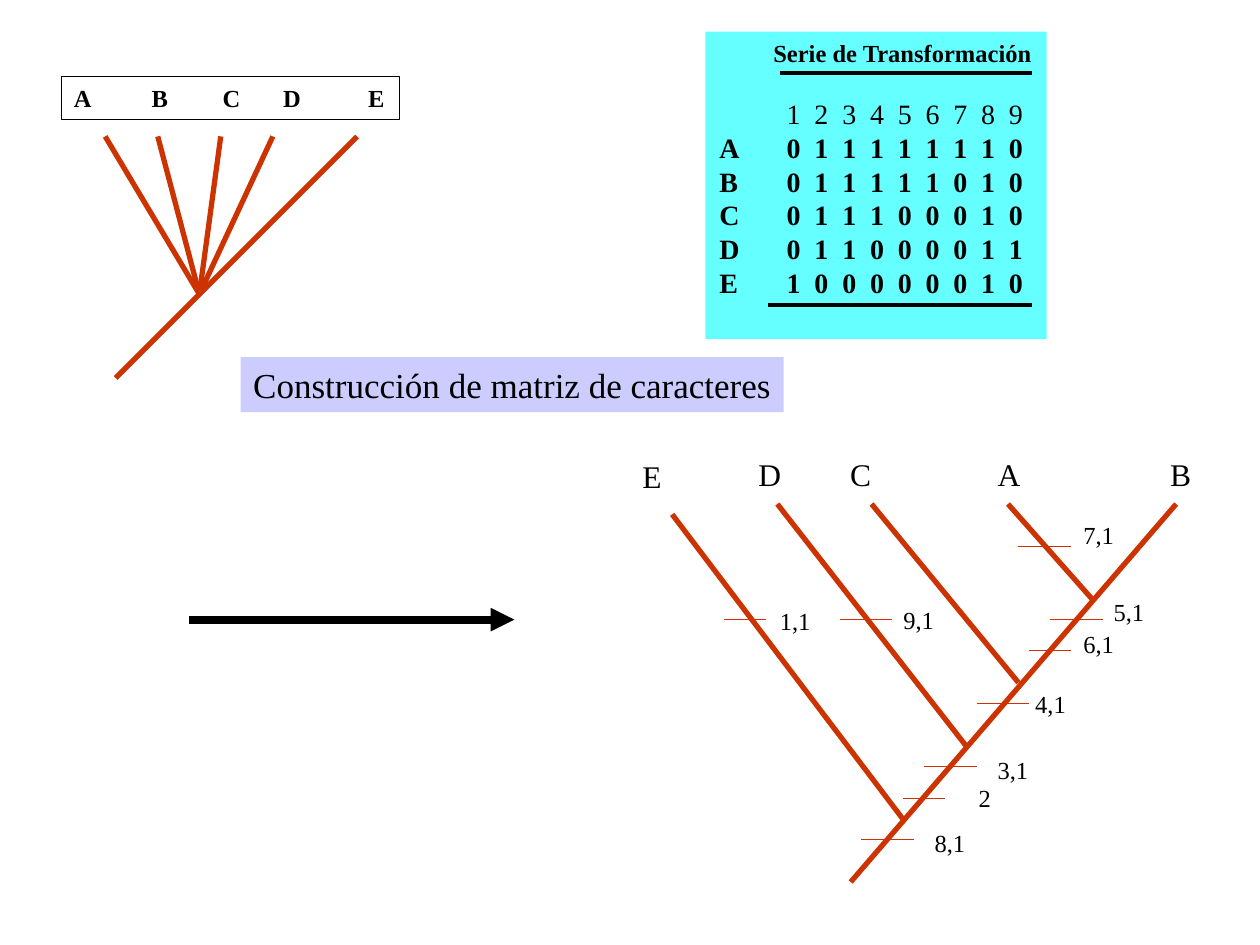
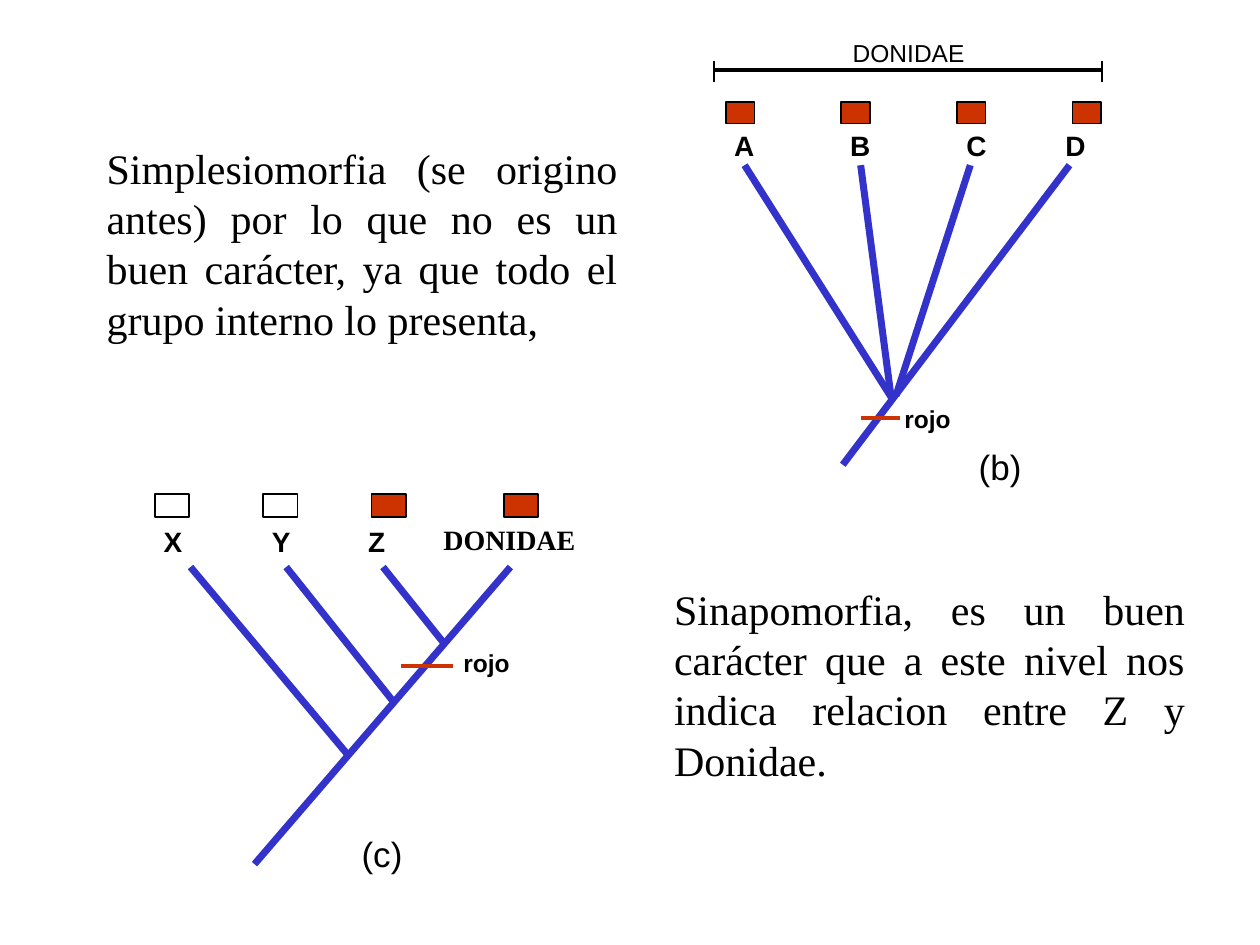
"""Builds two slides on character matrices and cladograms."""
from dataclasses import dataclass
from typing import NamedTuple, Optional

from lxml.etree import SubElement
from pptx import Presentation
from pptx.dml.color import RGBColor
from pptx.enum.shapes import MSO_CONNECTOR, MSO_SHAPE
from pptx.enum.text import MSO_ANCHOR as Anchor, MSO_AUTO_SIZE as AutoSize, PP_ALIGN as Align
from pptx.oxml.ns import qn
from pptx.util import Cm, Pt


@dataclass(frozen=True)
class Theme:
    """Colours, fonts, type sizes and line widths."""
    black: RGBColor = RGBColor(0, 0, 0)
    red: RGBColor = RGBColor(0xCC, 0x33, 0x00)
    blue: RGBColor = RGBColor(0x33, 0x33, 0xCC)
    lilac: RGBColor = RGBColor(0xCC, 0xCC, 0xFF)
    cyan: RGBColor = RGBColor(0x66, 0xFF, 0xFF)
    serif: str = "Times New Roman"
    sans: str = "Arial"
    small: float = 14
    medium: float = 16
    tip: float = 18
    title: float = 20
    body: float = 24
    hairline: float = 0.75
    outline: float = 1
    rule: float = 2.25
    red_branch: float = 3
    blue_branch: float = 4
    arrow: float = 4.5


THEME = Theme()
NO_STYLE_TABLE = "{2D5ABB26-0587-4C30-8999-92F81FD0307C}"


class Box(NamedTuple):
    """Position and size in centimetres."""
    left: float
    top: float
    width: float
    height: float


class Segment(NamedTuple):
    """Straight line from one point to another, in centimetres."""
    x1: float
    y1: float
    x2: float
    y2: float


@dataclass(frozen=True)
class TextStyle:
    """Look of a piece of text."""
    size: float
    font: str = THEME.serif
    bold: bool = False
    align: Align = Align.LEFT


@dataclass(frozen=True)
class Label:
    """Short text with its place."""
    text: str
    box: Box


@dataclass(frozen=True)
class Change:
    """Tick across a branch with the label of the character change."""
    text: str
    left: float
    right: float
    y: float
    label_left: float
    label_top: float


NUMBER = TextStyle(THEME.small)
SERIES_TITLE = TextStyle(THEME.small, bold=True, align=Align.RIGHT)
TAXA_ROW = TextStyle(THEME.small, bold=True)
TIP = TextStyle(THEME.tip)
HEADLINE = TextStyle(THEME.title)
BODY = TextStyle(THEME.body, align=Align.JUSTIFY)
TAXON = TextStyle(THEME.medium, THEME.sans, bold=True)
FAMILY = TextStyle(THEME.medium, bold=True)
FAMILY_CAPTION = TextStyle(THEME.small, THEME.sans)
STATE = TextStyle(THEME.small, THEME.sans, bold=True)
PANEL_LETTER = TextStyle(THEME.title, THEME.sans)

TAXA_TABS = (1.57, 3.0, 4.22, 5.93)
MATRIX = {"": "123456789", "A": "011111110", "B": "011111010",
          "C": "011100010", "D": "011000011", "E": "100000010"}
POLYTOMY = [Segment(2.33, 7.62, 7.2, 2.75)] + [
    Segment(4.02, 5.93, x, 2.75) for x in (2.12, 3.18, 4.45, 5.5)]
RESOLVED_TREE = [
    Segment(17.15, 17.78, 23.71, 10.16), Segment(22.01, 12.07, 20.32, 10.16),
    Segment(20.53, 13.76, 17.57, 10.16), Segment(19.47, 15.03, 15.67, 10.16),
    Segment(18.2, 16.51, 13.55, 10.37)]
RESOLVED_TIPS = [Label(text, Box(left, top, 0.95, 1.02)) for text, left, top in (
    ("E", 12.7, 9.09), ("D", 15.04, 9.04), ("C", 16.89, 9.04),
    ("A", 19.86, 9.04), ("B", 23.34, 9.04))]
CHANGES = [
    Change("1,1", 14.6, 15.45, 12.49, 15.47, 12.09),
    Change("9,1", 16.93, 17.99, 12.49, 17.96, 12.07),
    Change("7,1", 20.53, 21.59, 11.01, 21.59, 10.36),
    Change("5,1", 21.17, 22.23, 12.49, 22.2, 11.91),
    Change("6,1", 20.74, 21.59, 13.12, 21.59, 12.55),
    Change("4,1", 19.69, 20.74, 14.18, 20.62, 13.77),
    Change("3,1", 18.63, 19.69, 15.45, 19.86, 15.09),
    Change("2", 18.2, 19.05, 16.09, 19.48, 15.67),
    Change("8,1", 17.36, 18.42, 16.93, 18.59, 16.56)]

TREE_B = [
    Segment(16.99, 9.37, 21.56, 3.33), Segment(17.98, 8.03, 15.01, 3.33),
    Segment(17.96, 7.98, 17.35, 3.33), Segment(18.06, 7.98, 19.56, 3.33)]
TAXA_B = [Label(text, Box(left, 2.46, 0.91, 0.91)) for text, left in (
    ("A", 14.55), ("B", 16.89), ("C", 19.23), ("D", 21.23))]
STATES_B = [Box(14.63 + 2.33 * index, 2.06, 0.58, 0.43) for index in range(4)]
BRACKET_LEFT, BRACKET_RIGHT = 14.4, 22.22
TREE_C = [
    Segment(5.13, 17.42, 10.29, 11.43), Segment(8.92, 12.93, 7.72, 11.43),
    Segment(7.95, 14.17, 5.77, 11.43), Segment(6.99, 15.19, 3.84, 11.43)]
TAXA_C = [Label(text, Box(left, 10.44, 0.89, 0.91)) for text, left in (
    ("X", 3.05), ("Y", 5.23), ("Z", 7.17))]
STATES_C = [(Box(left, 9.96, 0.69, 0.46), fill) for left, fill in (
    (3.12, None), (5.31, None), (7.49, THEME.red), (10.16, THEME.red))]


def lengths(values: tuple) -> list:
    """Turn centimetre numbers into lengths."""
    return [Cm(value) for value in values]


def format_paragraph(paragraph, style: TextStyle) -> None:
    """Apply a text style to one paragraph."""
    paragraph.alignment = style.align
    paragraph.font.size = Pt(style.size)
    paragraph.font.name = style.font
    paragraph.font.bold = style.bold
    paragraph.font.color.rgb = THEME.black


def write(shape, text: str, style: TextStyle, wrap: bool = False, tabs: tuple = ()) -> None:
    """Write one styled paragraph, top anchored, into a shape."""
    frame = shape.text_frame
    frame.auto_size = AutoSize.NONE
    frame.word_wrap = wrap
    frame.vertical_anchor = Anchor.TOP
    frame.text = text
    paragraph = frame.paragraphs[0]
    if tabs:
        properties = paragraph._p.get_or_add_pPr()
        tab_list = SubElement(properties, qn("a:tabLst"))
        for position in tabs:
            SubElement(tab_list, qn("a:tab"), pos=str(Cm(position)), algn="l")
    format_paragraph(paragraph, style)


def add_label(slide, label: Label, style: TextStyle, wrap: bool = False) -> None:
    """Add a text box."""
    write(slide.shapes.add_textbox(*lengths(label.box)), label.text, style, wrap)


def add_box(slide, box: Box, fill: Optional[RGBColor] = None, outline: Optional[float] = None):
    """Add a rectangle with an optional fill and black outline."""
    shape = slide.shapes.add_shape(MSO_SHAPE.RECTANGLE, *lengths(box))
    shape.shadow.inherit = False
    if fill is None:
        shape.fill.background()
    else:
        shape.fill.solid()
        shape.fill.fore_color.rgb = fill
    if outline is None:
        shape.line.fill.background()
    else:
        shape.line.color.rgb = THEME.black
        shape.line.width = Pt(outline)
    return shape


def add_line(slide, segment: Segment, color: RGBColor, width: float, arrow: bool = False) -> None:
    """Add a straight connector, with an arrowhead at its end if asked."""
    connector = slide.shapes.add_connector(MSO_CONNECTOR.STRAIGHT, *lengths(segment))
    connector.line.color.rgb = color
    connector.line.width = Pt(width)
    properties = connector.element.spPr
    if arrow:
        SubElement(properties.find(qn("a:ln")), qn("a:tailEnd"), type="triangle")
    SubElement(properties, qn("a:effectLst"))


def add_tree(slide, branches: list[Segment], color: RGBColor, width: float) -> None:
    """Draw all branches of a tree."""
    for branch in branches:
        add_line(slide, branch, color, width)


def add_matrix(slide) -> None:
    """Draw the panel with the table of character states."""
    panel = add_box(slide, Box(14.22, 0.64, 6.88, 6.2), THEME.cyan)
    write(panel, "Serie de Transformación", SERIES_TITLE, wrap=True)
    panel.text_frame.margin_right = Cm(0.3)

    row_height, label_width, state_width = 0.68, 1.22, 0.56
    width = label_width + 9 * state_width
    frame = slide.shapes.add_table(len(MATRIX), 10, *lengths(
        (14.5, 1.98, width, row_height * len(MATRIX))))
    table = frame.table
    table.first_row = table.horz_banding = False
    table._tbl.tblPr.find(qn("a:tableStyleId")).text = NO_STYLE_TABLE
    for index, column in enumerate(table.columns):
        column.width = Cm(state_width if index else label_width)
    for row, (taxon, states) in zip(table.rows, MATRIX.items()):
        row.height = Cm(row_height)
        for index, (cell, text) in enumerate(zip(row.cells, [taxon, *states])):
            cell.fill.solid()
            cell.fill.fore_color.rgb = THEME.cyan
            cell.margin_left = cell.margin_right = cell.margin_top = cell.margin_bottom = 0
            cell.vertical_anchor = Anchor.MIDDLE
            cell.text = text
            align = Align.CENTER if index else Align.LEFT
            style = TextStyle(THEME.medium, bold=bool(taxon), align=align)
            format_paragraph(cell.text_frame.paragraphs[0], style)
    for left, y in ((15.72, 1.48), (15.49, 6.15)):
        add_line(slide, Segment(left, y, 20.8, y), THEME.black, THEME.rule)


def build_matrix_slide(presentation) -> None:
    """Build the slide that resolves a polytomy with a matrix."""
    slide = presentation.slides.add_slide(presentation.slide_layouts[5])
    title = slide.shapes.title
    title.left, title.top, title.width, title.height = lengths((4.85, 7.2, 10.95, 1.11))
    title.fill.solid()
    title.fill.fore_color.rgb = THEME.lilac
    write(title, "Construcción de matriz de caracteres", HEADLINE)
    title.text_frame.margin_right = 0

    add_matrix(slide)
    add_tree(slide, POLYTOMY, THEME.red, THEME.red_branch)
    taxa = add_box(slide, Box(1.24, 1.55, 6.81, 0.86), outline=THEME.hairline)
    write(taxa, "A\tB\tC\tD\tE", TAXA_ROW, wrap=True, tabs=TAXA_TABS)
    add_line(slide, Segment(3.81, 12.49, 10.37, 12.49), THEME.black, THEME.arrow, arrow=True)

    add_tree(slide, RESOLVED_TREE, THEME.red, THEME.red_branch)
    for tip in RESOLVED_TIPS:
        add_label(slide, tip, TIP)
    for change in CHANGES:
        tick = Segment(change.left, change.y, change.right, change.y)
        add_line(slide, tick, THEME.red, THEME.hairline)
        width = 1.12 if len(change.text) > 1 else 0.76
        box = Box(change.label_left, change.label_top, width, 0.86)
        add_label(slide, Label(change.text, box), NUMBER)


def build_donidae_slide(presentation) -> None:
    """Build the slide that compares two levels of the same character."""
    slide = presentation.slides.add_slide(presentation.slide_layouts[6])
    for tree in (TREE_C, TREE_B):
        add_tree(slide, tree, THEME.blue, THEME.blue_branch)
    for taxon in TAXA_C + TAXA_B:
        add_label(slide, taxon, TAXON)
    for box, fill in STATES_C + [(box, THEME.red) for box in STATES_B]:
        add_box(slide, box, fill, THEME.outline)
    add_label(slide, Label("DONIDAE", Box(8.69, 10.41, 3.15, 0.94)), FAMILY)
    add_label(slide, Label("DONIDAE", Box(16.94, 0.64, 2.77, 0.84)), FAMILY_CAPTION)

    for tick in (Segment(8.08, 13.42, 9.14, 13.42), Segment(17.35, 8.43, 18.14, 8.43)):
        add_line(slide, tick, THEME.red, THEME.rule)
    for left, top in ((9.09, 12.93), (17.98, 8.03)):
        add_label(slide, Label("rojo", Box(left, top, 1.45, 0.84)), STATE)
    for text, left, top in (("(c)", 7.04, 16.66), ("(b)", 19.48, 8.86)):
        add_label(slide, Label(text, Box(left, top, 1.35, 1.09)), PANEL_LETTER)

    add_line(slide, Segment(BRACKET_LEFT, 1.42, BRACKET_RIGHT, 1.42), THEME.black, THEME.rule)
    for x in (BRACKET_LEFT, BRACKET_RIGHT):
        add_line(slide, Segment(x, 1.22, x, 1.65), THEME.black, THEME.outline)

    for text, left, top in (
            ("Simplesiomorfia (se origino antes) por lo que no es un buen carácter, "
             "ya que todo el grupo interno lo presenta,", 1.9, 2.74),
            ("Sinapomorfia, es un buen carácter que a este nivel nos indica relacion "
             "entre Z y Donidae.", 13.34, 11.63)):
        add_label(slide, Label(text, Box(left, top, 10.8, 4.32)), BODY, wrap=True)


def main() -> None:
    """Build and save the presentation."""
    presentation = Presentation()
    presentation.slide_width, presentation.slide_height = Cm(25.4), Cm(19.05)
    build_matrix_slide(presentation)
    build_donidae_slide(presentation)
    presentation.save("out.pptx")


if __name__ == "__main__":
    main()
